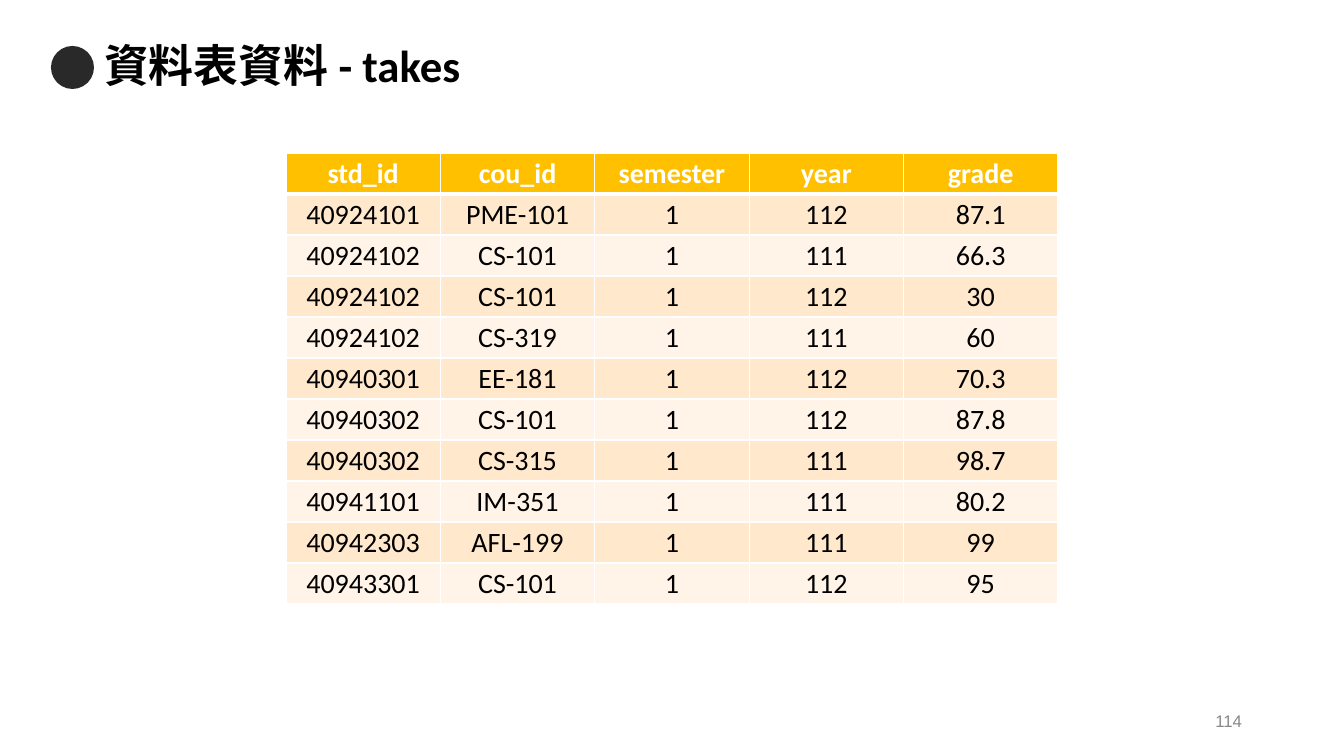
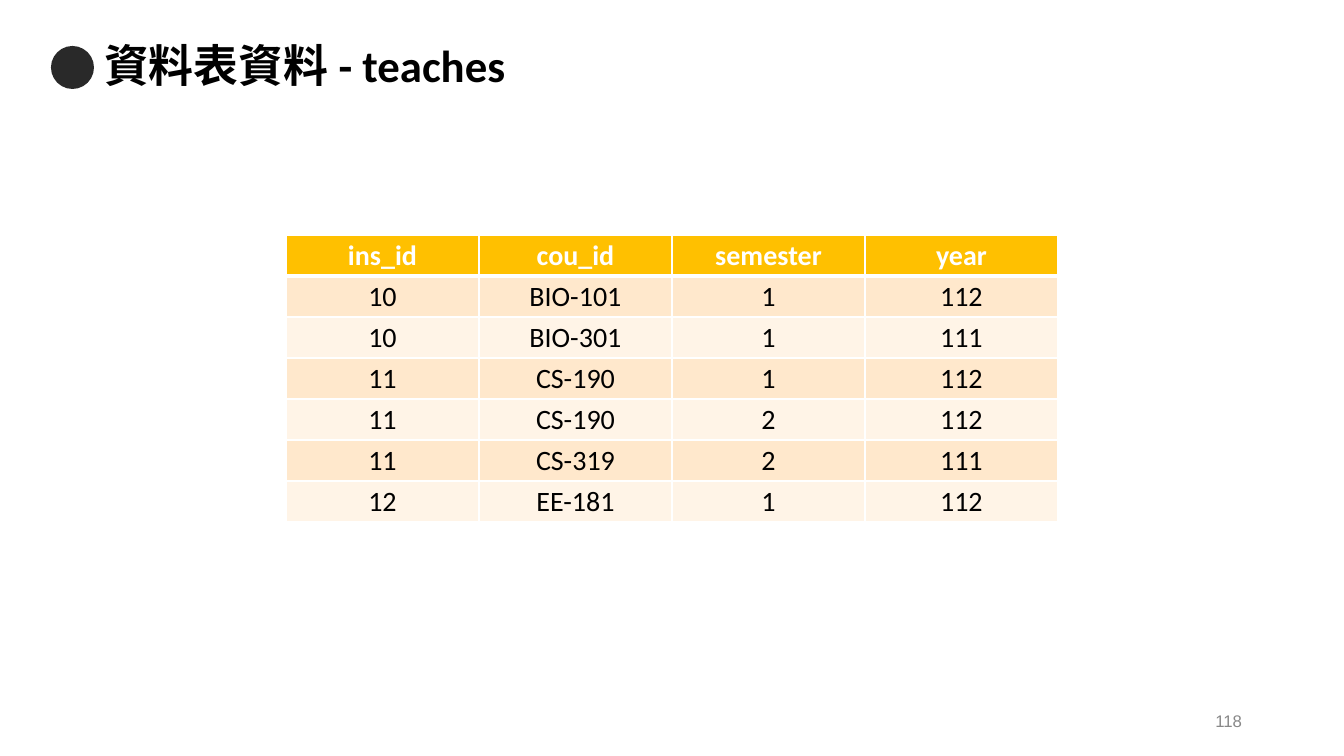
"""Build two slides that list the rows of the takes and teaches tables."""
from lxml.etree import SubElement
from pptx import Presentation
from pptx.dml.color import RGBColor
from pptx.enum.shapes import MSO_SHAPE
from pptx.enum.text import MSO_ANCHOR, PP_ALIGN
from pptx.oxml.ns import qn
from pptx.util import Emu, Pt

SLIDE_WIDTH, SLIDE_HEIGHT = 1344, 756
EMU_PER_PX = 12192000 / SLIDE_WIDTH

BLACK = RGBColor(0x00, 0x00, 0x00)
WHITE = RGBColor(0xFF, 0xFF, 0xFF)
CHARCOAL = RGBColor(0x29, 0x29, 0x29)
GREY = RGBColor(0x88, 0x88, 0x88)
AMBER = RGBColor(0xFF, 0xC0, 0x00)
BANDS = (RGBColor(0xFF, 0xF4, 0xE7), RGBColor(0xFF, 0xE8, 0xCC))

TITLE_ONLY = 5
TABLE_LEFT, TABLE_WIDTH, ROW_HEIGHT = 286, 772, 41
THIN, THICK = Pt(1), Pt(3)

TAKES = (
    ("std_id", "cou_id", "semester", "year", "grade"),
    ("40924101", "PME-101", "1", "112", "87.1"),
    ("40924102", "CS-101", "1", "111", "66.3"),
    ("40924102", "CS-101", "1", "112", "30"),
    ("40924102", "CS-319", "1", "111", "60"),
    ("40940301", "EE-181", "1", "112", "70.3"),
    ("40940302", "CS-101", "1", "112", "87.8"),
    ("40940302", "CS-315", "1", "111", "98.7"),
    ("40941101", "IM-351", "1", "111", "80.2"),
    ("40942303", "AFL-199", "1", "111", "99"),
    ("40943301", "CS-101", "1", "112", "95"),
)
TEACHES = (
    ("ins_id", "cou_id", "semester", "year"),
    ("10", "BIO-101", "1", "112"),
    ("10", "BIO-301", "1", "111"),
    ("11", "CS-190", "1", "112"),
    ("11", "CS-190", "2", "112"),
    ("11", "CS-319", "2", "111"),
    ("12", "EE-181", "1", "112"),
)


def px(length):
    return Emu(round(length * EMU_PER_PX))


def set_text(frame, text, size, color, align, font="Calibri", bold=False):
    frame.text = text
    paragraph = frame.paragraphs[0]
    paragraph.alignment = align
    run_font = paragraph.runs[0].font
    run_font.name, run_font.size, run_font.bold = font, Pt(size), bold
    run_font.color.rgb = color


def add_bullet_dot(slide):
    dot = slide.shapes.add_shape(MSO_SHAPE.OVAL, px(51), px(46), px(43), px(43))
    dot.shadow.inherit = False
    dot.fill.solid()
    dot.fill.fore_color.rgb = CHARCOAL
    dot.line.fill.background()


def set_title(slide, text):
    title = slide.shapes.title
    title.left, title.top, title.width, title.height = px(94), px(35), px(1158), px(65)
    set_text(title.text_frame, text, 32, BLACK, PP_ALIGN.LEFT, bold=True)
    title.text_frame.vertical_anchor = MSO_ANCHOR.MIDDLE
    title.text_frame.paragraphs[0].line_spacing = 0.9


def add_page_number(slide, number):
    footer = slide.shapes.add_textbox(px(950), px(701), px(302), px(40)).text_frame
    footer.word_wrap = True
    footer.vertical_anchor = MSO_ANCHOR.MIDDLE
    set_text(footer, str(number), 12, GREY, PP_ALIGN.RIGHT, font="Arial")


def add_borders(cell, top, bottom):
    properties = cell._tc.get_or_add_tcPr()
    for side, width in (("L", THIN), ("R", THIN), ("T", top), ("B", bottom)):
        line = SubElement(properties, qn(f"a:ln{side}"), w=str(width))
        SubElement(SubElement(line, qn("a:solidFill")), qn("a:srgbClr"), val=str(WHITE))


def format_cell(cell, text, row):
    is_header = row == 0
    cell.margin_left = cell.margin_right = cell.margin_top = px(1)
    cell.margin_bottom = 0
    cell.vertical_anchor = MSO_ANCHOR.MIDDLE
    set_text(cell.text_frame, text, 20, WHITE if is_header else BLACK,
             PP_ALIGN.CENTER, bold=is_header)
    add_borders(cell, THICK if row == 1 else THIN, THICK if is_header else THIN)
    cell.fill.solid()
    cell.fill.fore_color.rgb = AMBER if is_header else BANDS[row % 2]


def add_records(slide, records, top):
    columns = len(records[0])
    table = slide.shapes.add_table(
        len(records), columns, px(TABLE_LEFT), px(top),
        px(TABLE_WIDTH), px(ROW_HEIGHT * len(records))).table
    for column in table.columns:
        column.width = px(TABLE_WIDTH / columns)
    for row, record in enumerate(records):
        table.rows[row].height = px(ROW_HEIGHT)
        for column, value in enumerate(record):
            format_cell(table.cell(row, column), value, row)


def add_records_slide(deck, name, records, top, number):
    slide = deck.slides.add_slide(deck.slide_layouts[TITLE_ONLY])
    add_bullet_dot(slide)
    set_title(slide, f"資料表資料 - {name}")
    add_page_number(slide, number)
    add_records(slide, records, top)


def main():
    deck = Presentation()
    deck.slide_width, deck.slide_height = px(SLIDE_WIDTH), px(SLIDE_HEIGHT)
    add_records_slide(deck, "takes", TAKES, 153, 114)
    add_records_slide(deck, "teaches", TEACHES, 235, 118)
    deck.save("out.pptx")


if __name__ == "__main__":
    main()
